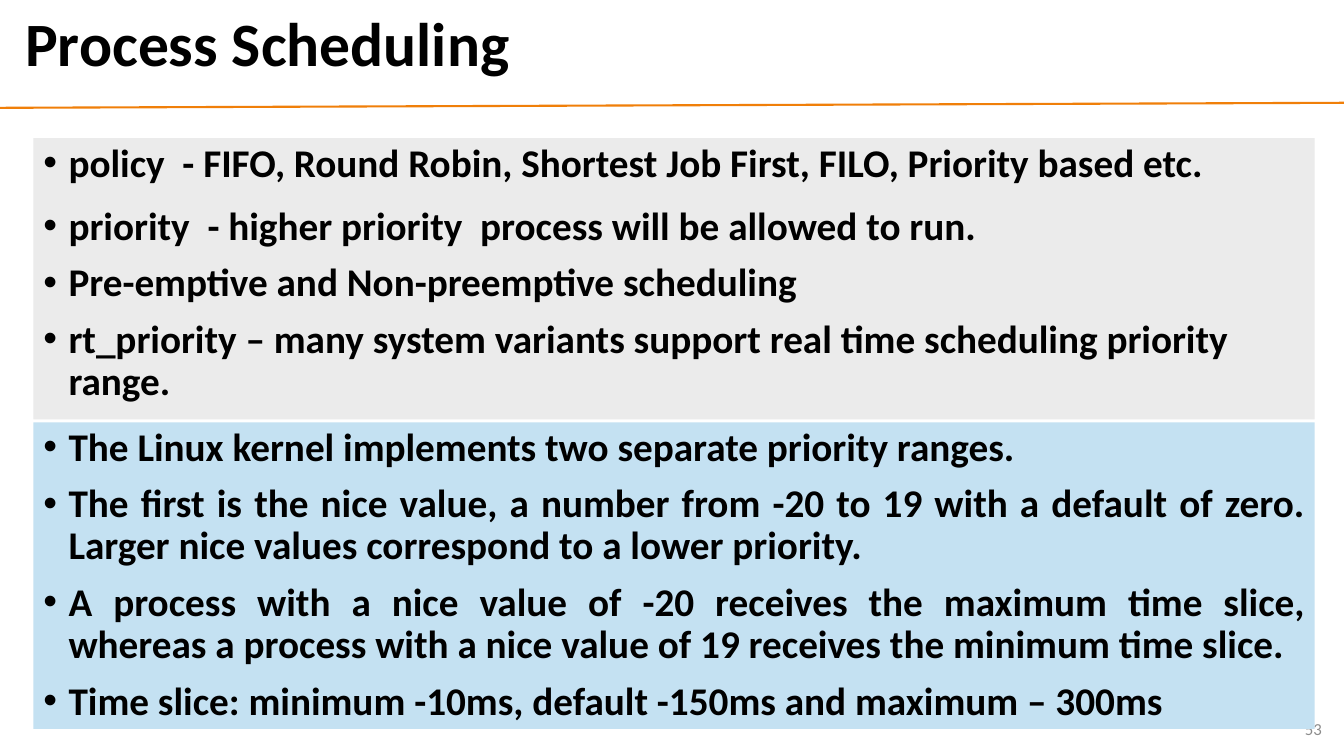
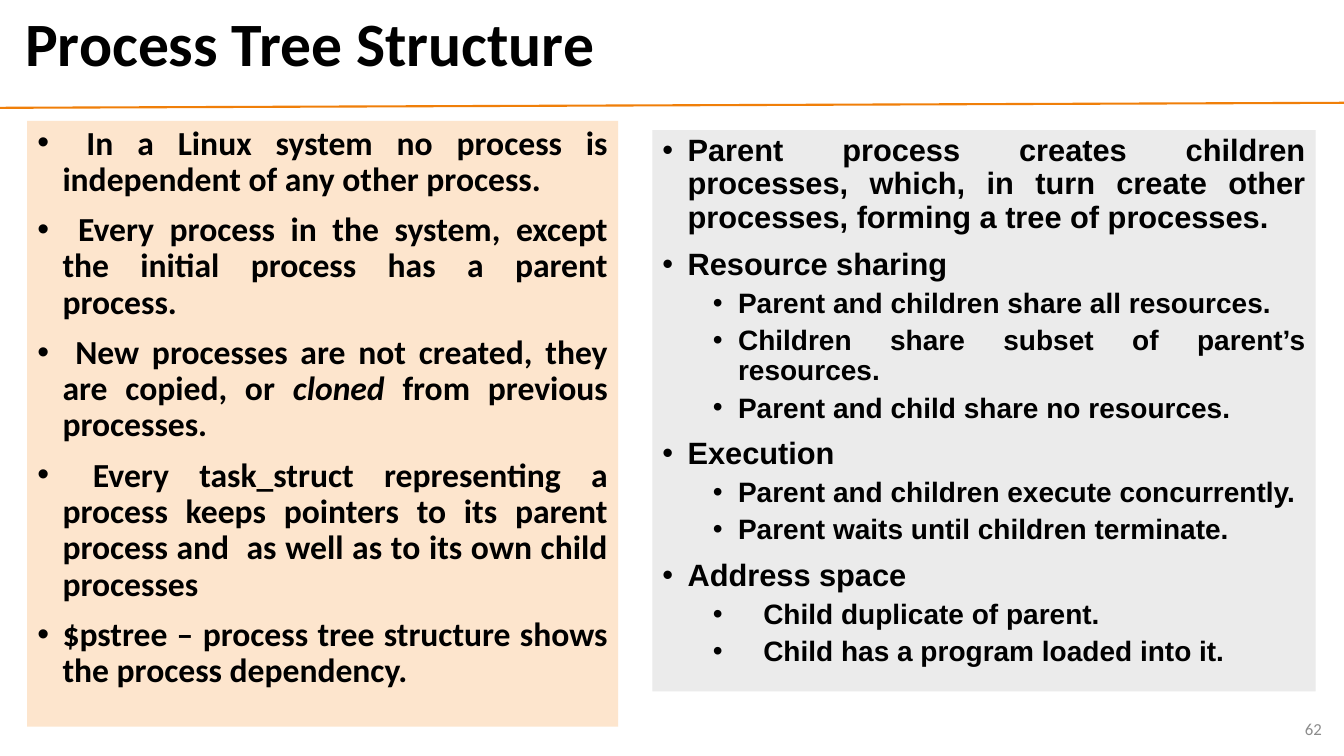
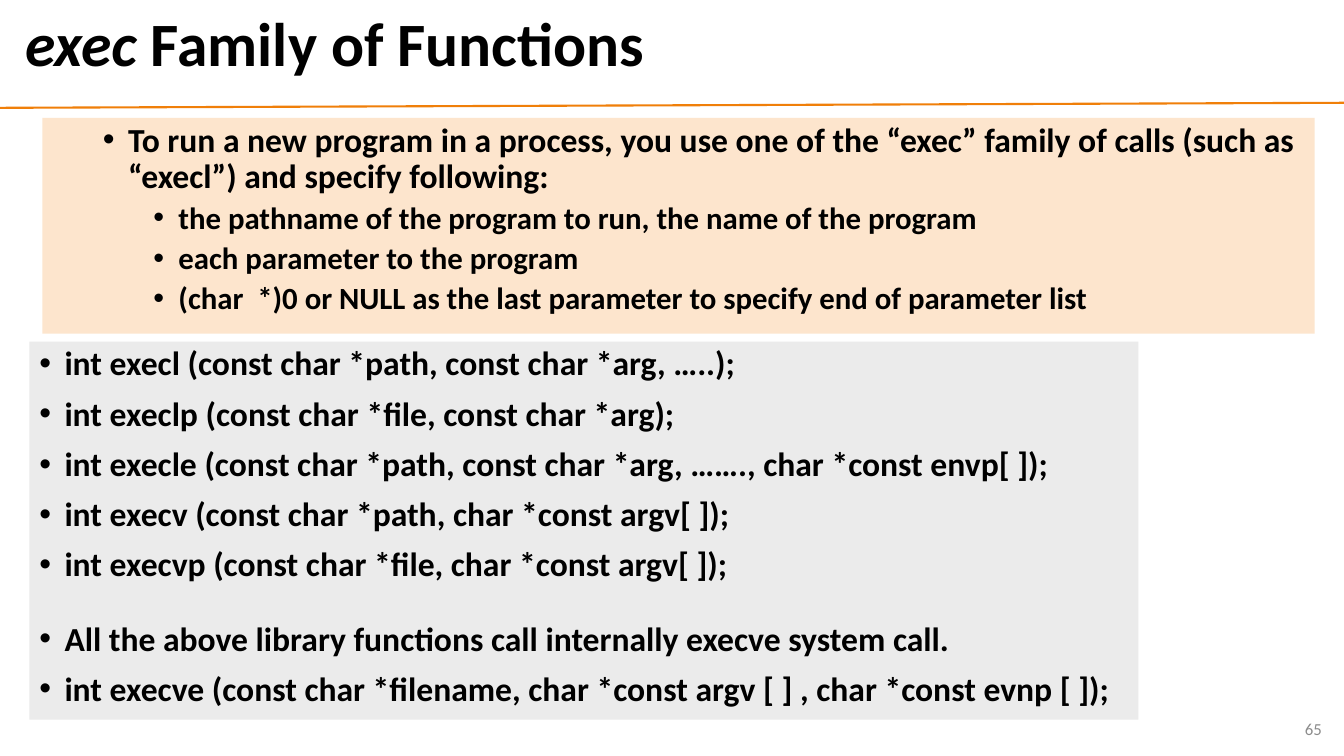
"""Build three slides on process scheduling, process trees and the exec family."""
from dataclasses import dataclass

from lxml.etree import SubElement
from pptx import Presentation
from pptx.dml.color import RGBColor
from pptx.enum.shapes import MSO_CONNECTOR
from pptx.enum.text import MSO_ANCHOR, MSO_AUTO_SIZE, PP_ALIGN
from pptx.oxml.ns import qn
from pptx.util import Inches, Pt

BLACK = RGBColor(0x00, 0x00, 0x00)
GRAY = RGBColor(0x8C, 0x8C, 0x8C)
ORANGE = RGBColor(0xF0, 0x7F, 0x09)
PANEL_GRAY = RGBColor(0xEB, 0xEB, 0xEB)
PANEL_BLUE = RGBColor(0xC4, 0xE1, 0xF2)
PANEL_PEACH = RGBColor(0xFD, 0xE5, 0xCD)
LEFT, JUSTIFY = PP_ALIGN.LEFT, PP_ALIGN.JUSTIFY


@dataclass
class Item:
    text: str
    level: int = 0
    hanging: float = 0.25
    after: float = 0


@dataclass
class Panel:
    box: tuple
    fill: RGBColor
    alignment: PP_ALIGN
    sizes: tuple
    items: list
    font: str = "Calibri"


def place(shape, box, anchor):
    shape.left, shape.top, shape.width, shape.height = map(Inches, box)
    shape.text_frame.word_wrap = True
    shape.text_frame.auto_size = MSO_AUTO_SIZE.NONE
    shape.text_frame.vertical_anchor = anchor


def write(paragraph, text, size, alignment, font="Calibri", color=BLACK, bold=True):
    paragraph.alignment = alignment
    paragraph.font.name = font
    paragraph.font.size = Pt(size)
    paragraph.font.bold = bold
    paragraph.font.color.rgb = color
    for position, part in enumerate(text.split("|")):
        if part:
            run = paragraph.add_run()
            run.text = part
            if position % 2:
                run.font.italic = True


SLIDES = [
    ("Process Scheduling", "53", [
        Panel((0.33, 1.37, 12.71, 2.79), PANEL_GRAY, LEFT, (28,), [
            Item("policy  - FIFO, Round Robin, Shortest Job First, FILO, Priority based etc.", after=5),
            Item("priority  - higher priority  process will be allowed to run."),
            Item("Pre-emptive and Non-preemptive scheduling"),
            Item("rt_priority – many system variants support real time scheduling priority range."),
        ]),
        Panel((0.33, 4.19, 12.71, 3.04), PANEL_BLUE, JUSTIFY, (28,), [
            Item("The Linux kernel implements two separate priority ranges."),
            Item("The first is the nice value, a number from -20 to 19 with a default of zero. "
                 "Larger nice values correspond to a lower priority."),
            Item("A process with a nice value of -20 receives the maximum time slice, "
                 "whereas a process with a nice value of 19 receives the minimum time slice."),
            Item("Time slice: minimum -10ms, default -150ms and maximum – 300ms"),
        ]),
    ]),
    ("Process Tree Structure", "62", [
        Panel((0.27, 1.2, 5.86, 6.01), PANEL_PEACH, JUSTIFY, (24,), [
            Item(" In a Linux system no process is independent of any other process."),
            Item(" Every process in the system, except the initial process has a parent process."),
            Item(" New processes are not created, they are copied, or |cloned| from previous processes."),
            Item(" Every task_struct representing a process keeps pointers to its parent process "
                 "and  as well as to its own child processes"),
            Item("$pstree – process tree structure shows the process dependency."),
        ]),
        Panel((6.47, 1.29, 6.58, 5.57), PANEL_GRAY, JUSTIFY, (22, 20), [
            Item("Parent process creates children processes, which, in turn create other "
                 "processes, forming a tree of processes."),
            Item("Resource sharing"),
            Item("Parent and children share all resources.", 1),
            Item("Children share subset of parent’s resources.", 1),
            Item("Parent and child share no resources.", 1),
            Item("Execution"),
            Item("Parent and children execute concurrently.", 1),
            Item("Parent waits until children terminate.", 1),
            Item("Address space"),
            Item("Child duplicate of parent.", 1, hanging=0.5),
            Item("Child has a program loaded into it.", 1, hanging=0.5),
        ], font="Arial"),
    ]),
    ("|exec| Family of Functions", "65", [
        Panel((0.42, 1.17, 12.62, 2.14), PANEL_PEACH, LEFT, (24, 24, 22), [
            Item("To run a new program in a process, you use one of the “exec” family of calls "
                 "(such as “execl”) and specify following:", 1),
            Item("the pathname of the program to run, the name of the program", 2),
            Item("each parameter to the program", 2),
            Item("(char  *)0 or NULL as the last parameter to specify end of parameter list", 2),
        ]),
        Panel((0.29, 3.39, 11, 3.75), PANEL_GRAY, LEFT, (24,), [
            Item("int execl (const char *path, const char *arg, …..);"),
            Item("int execlp (const char *file, const char *arg);"),
            Item("int execle (const char *path, const char *arg, ……., char *const envp[ ]);"),
            Item("int execv (const char *path, char *const argv[ ]);"),
            Item("int execvp (const char *file, char *const argv[ ]);", after=17),
            Item("All the above library functions call internally execve system call."),
            Item("int execve (const char *filename, char *const argv [ ] , char *const evnp [ ]);"),
        ]),
    ]),
]

presentation = Presentation()
presentation.slide_width = Inches(13.33)
presentation.slide_height = Inches(7.5)
two_content = presentation.slide_layouts.get_by_name("Two Content")

for title_text, page_number, panels in SLIDES:
    slide = presentation.slides.add_slide(two_content)
    title, *bodies = slide.placeholders

    place(title, (0.15, 0.05, 12.89, 0.83), MSO_ANCHOR.MIDDLE)
    title_paragraph = title.text_frame.paragraphs[0]
    title_paragraph.line_spacing = 0.9
    write(title_paragraph, title_text, 44, LEFT)

    rule = slide.shapes.add_connector(
        MSO_CONNECTOR.STRAIGHT, Inches(0), Inches(1.07), Inches(13.33), Inches(1.02))
    rule.line.color.rgb = ORANGE
    rule.line.width = Pt(1.5)
    SubElement(rule.element.spPr, qn("a:effectLst"))

    number = slide.shapes.add_textbox(0, 0, 0, 0)
    place(number, (10.21, 7.03, 3, 0.4), MSO_ANCHOR.MIDDLE)
    write(number.text_frame.paragraphs[0], page_number, 12, PP_ALIGN.RIGHT, color=GRAY, bold=False)
    title.element.addnext(number.element)

    for body, panel in zip(bodies, panels):
        place(body, panel.box, MSO_ANCHOR.TOP)
        body.fill.solid()
        body.fill.fore_color.rgb = panel.fill
        for index, item in enumerate(panel.items):
            frame = body.text_frame
            paragraph = frame.add_paragraph() if index else frame.paragraphs[0]
            paragraph.level = item.level
            paragraph.line_spacing = 0.9
            paragraph.space_before = Pt(0 if index == 0 else 5 if item.level else 10)
            paragraph.space_after = Pt(item.after)
            properties = paragraph._p.get_or_add_pPr()
            properties.set("marL", str(Inches(0.5 * item.level + item.hanging)))
            properties.set("indent", str(Inches(-item.hanging)))
            SubElement(properties, qn("a:buFont"), typeface="Arial")
            SubElement(properties, qn("a:buChar"), char="•")
            write(paragraph, item.text, panel.sizes[item.level], panel.alignment, panel.font)

presentation.save("out.pptx")
